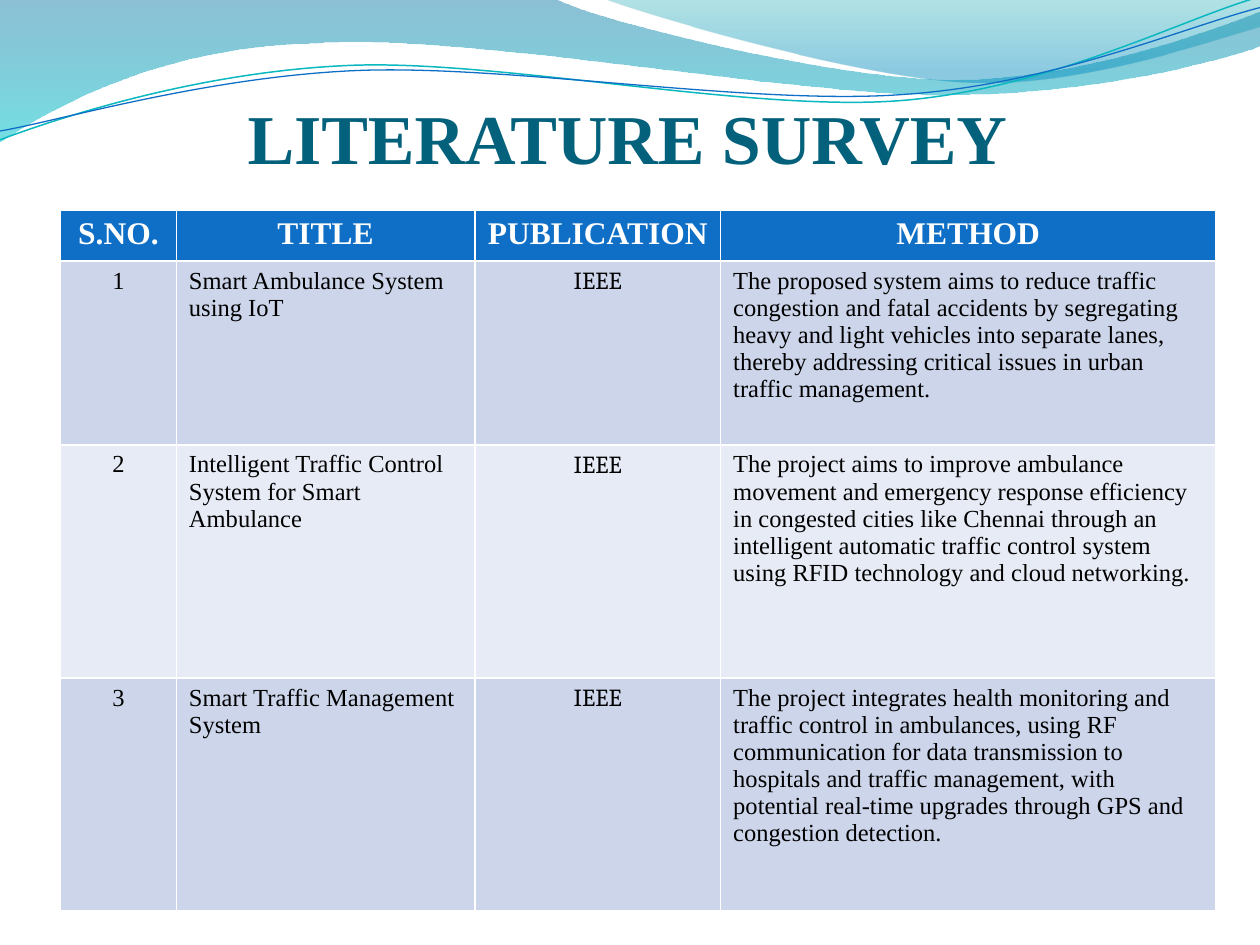
from math import cos, radians, sin
from typing import NamedTuple, Optional

from lxml import etree
from pptx import Presentation
from pptx.dml.color import RGBColor
from pptx.enum.text import MSO_ANCHOR, PP_ALIGN
from pptx.oxml.ns import qn
from pptx.util import Inches, Pt

CENTER, LEFT = PP_ALIGN.CENTER, PP_ALIGN.LEFT
BOTTOM = MSO_ANCHOR.BOTTOM

WHITE = RGBColor(0xFF, 0xFF, 0xFF)
BLACK = RGBColor(0x00, 0x00, 0x00)
TITLE_TEAL = RGBColor(0x04, 0x61, 0x7B)
BLUE = RGBColor(0x0F, 0x6F, 0xC6)
AQUA = RGBColor(0x0A, 0xB8, 0xBF)
BAND_DARK = RGBColor(0xCC, 0xD5, 0xEA)
BAND_LIGHT = RGBColor(0xE7, 0xEB, 0xF5)
SERIF, CAMBRIA = "Times New Roman", "Cambria"
LINE_TILT = -2.7


class Stop(NamedTuple):
    position: float
    color: RGBColor
    opacity: int


class Wave(NamedTuple):
    box: tuple
    start: tuple
    segments: list
    stops: Optional[list] = None
    color: Optional[RGBColor] = None
    width: float = 0
    tilt: float = 0


class Column(NamedTuple):
    heading: str
    width: float
    align: PP_ALIGN
    font: str


WAVES = [
    Wave((-0.01, -0.01, 10.02, 1.14), (0, 0),
         [(4.4, -0.01), (4.76, 0.17, 6.64, 0.63, 7.58, 0.63),
          (8.53, 0.63, 9.58, 0.26, 10, 0.09), (10.01, 0.36),
          (9.83, 0.44, 8.7, 0.76, 7.46, 0.75), (6.22, 0.75, 3.82, 0.28, 2.57, 0.34),
          (1.29, 0.36, 0.46, 0.83, -0.01, 1.13), (0, 0)],
         stops=[Stop(0, RGBColor(0x00, 0x74, 0xA1), 45), Stop(1, RGBColor(0x00, 0xC6, 0xCF), 55)]),
    Wave((4.79, -0.01, 5.21, 0.7), (4.79, -0.01),
         [(5.09, 0.11, 6.82, 0.62, 7.69, 0.65), (8.56, 0.69, 9.61, 0.32, 10, 0.21),
          (10, 0), (4.79, -0.01)],
         stops=[Stop(0, RGBColor(0x00, 0xA1, 0xA9), 30), Stop(0.8, RGBColor(0x00, 0x8B, 0xBF), 45)]),
    Wave((-0.02, 0.22, 10.02, 0.71), (0, 1.11),
         [(0.48, 0.93, 1.58, 0.57, 2.77, 0.52), (3.95, 0.47, 5.93, 0.89, 7.13, 0.8),
          (8.33, 0.71, 9.38, 0.15, 9.98, -0.02)], color=AQUA, width=0.85, tilt=LINE_TILT),
    Wave((-0.02, 0.3, 10.03, 0.58), (0, 1.04),
         [(0.47, 0.96, 1.64, 0.61, 2.83, 0.56), (4.03, 0.51, 5.97, 0.84, 7.17, 0.75),
          (8.36, 0.67, 9.41, 0.21, 10, 0.06)], color=BLUE, width=0.75, tilt=LINE_TILT),
]

COLUMNS = [
    Column("S.NO.", 0.92, CENTER, SERIF),
    Column("TITLE", 2.37, LEFT, SERIF),
    Column("PUBLICATION", 1.95, CENTER, CAMBRIA),
    Column("METHOD", 3.93, LEFT, SERIF),
]
ROW_HEIGHTS = [0.38, 1.46, 1.85, 1.85]
PAPERS = [
    ("1", "Smart Ambulance System using IoT", "IEEE",
     "The proposed system aims to reduce traffic congestion and fatal accidents by segregating "
     "heavy and light vehicles into separate lanes, thereby addressing critical issues in urban "
     "traffic management."),
    ("2", "Intelligent Traffic Control System for Smart Ambulance", "IEEE",
     "The project aims to improve ambulance movement and emergency response efficiency in "
     "congested cities like Chennai through an intelligent automatic traffic control system "
     "using RFID technology and cloud networking."),
    ("3", "Smart Traffic Management System", "IEEE",
     "The project integrates health monitoring and traffic control in ambulances, using RF "
     "communication for data transmission to hospitals and traffic management, with potential "
     "real-time upgrades through GPS and congestion detection."),
]


def to_box(wave: Wave, x: float, y: float) -> dict:
    left, top, width, height = wave.box
    dx, dy = x - left - width / 2, y - top - height / 2
    a = radians(-wave.tilt)
    return {"x": str(Inches(dx * cos(a) - dy * sin(a) + width / 2)),
            "y": str(Inches(dx * sin(a) + dy * cos(a) + height / 2))}


def draw_outline(sp, wave: Wave) -> None:
    outline = next(sp._element.iter(qn("a:path")))
    for child in list(outline):
        outline.remove(child)
    for name, value in zip("wh", wave.box[2:]):
        outline.set(name, str(Inches(value)))
    move = etree.SubElement(outline, qn("a:moveTo"))
    etree.SubElement(move, qn("a:pt"), **to_box(wave, *wave.start))
    for seg in wave.segments:
        tag = "a:cubicBezTo" if len(seg) == 6 else "a:lnTo"
        step = etree.SubElement(outline, qn(tag))
        for x, y in zip(seg[::2], seg[1::2]):
            etree.SubElement(step, qn("a:pt"), **to_box(wave, x, y))
    if wave.stops:
        etree.SubElement(outline, qn("a:close"))


def add_wave(s, wave: Wave) -> None:
    builder = s.shapes.build_freeform(*map(Inches, wave.start))
    builder.add_line_segments([tuple(map(Inches, seg[-2:])) for seg in wave.segments], close=False)
    sp = builder.convert_to_shape()
    for name, value in zip(("left", "top", "width", "height"), wave.box):
        setattr(sp, name, Inches(value))
    sp.rotation = wave.tilt
    sp.shadow.inherit = False
    draw_outline(sp, wave)
    if wave.stops is None:
        sp.fill.background()
        sp.line.color.rgb = wave.color
        sp.line.width = Pt(wave.width)
        return
    sp.line.fill.background()
    sp.fill.gradient()
    sp.fill.gradient_angle = 270
    for gs, stop in zip(sp.fill.gradient_stops, wave.stops):
        gs.position = stop.position
        gs.color.rgb = stop.color
    for clr, stop in zip(sp._element.spPr.iter(qn("a:srgbClr")), wave.stops):
        etree.SubElement(clr, qn("a:alpha"), val=str(stop.opacity * 1000))


def write(tf, text: str, align: PP_ALIGN, color: RGBColor, **font) -> None:
    p = tf.paragraphs[0]
    p.alignment = align
    r = p.add_run()
    r.text = text
    r.font.color.rgb = color
    for name, value in font.items():
        setattr(r.font, name, value)


def add_title(s, text: str) -> None:
    sp = s.shapes.add_textbox(Inches(0.48), Inches(0.59), Inches(9), Inches(0.83))
    tf = sp.text_frame
    layout = {"word_wrap": True, "vertical_anchor": BOTTOM, "margin_left": 0,
              "margin_top": Inches(0.05), "margin_right": 0, "margin_bottom": 0}
    for name, value in layout.items():
        setattr(tf, name, value)
    write(tf, text, CENTER, TITLE_TEAL, size=Pt(40), bold=True, name=SERIF)


def add_survey_table(s) -> None:
    rows = [tuple(c.heading for c in COLUMNS), *PAPERS]
    table = s.shapes.add_table(
        len(rows), len(COLUMNS), Inches(0.48), Inches(1.67),
        Inches(sum(c.width for c in COLUMNS)), Inches(sum(ROW_HEIGHTS))).table
    for col, column in zip(table.columns, COLUMNS):
        col.width = Inches(column.width)
    for i, (texts, height) in enumerate(zip(rows, ROW_HEIGHTS)):
        table.rows[i].height = Inches(height)
        for j, (text, column) in enumerate(zip(texts, COLUMNS)):
            cell = table.cell(i, j)
            cell.fill.solid()
            if i == 0:
                cell.fill.fore_color.rgb = BLUE
                write(cell.text_frame, text, CENTER, WHITE, size=Pt(18), bold=True, name=SERIF)
            else:
                cell.fill.fore_color.rgb = BAND_DARK if i % 2 else BAND_LIGHT
                write(cell.text_frame, text, column.align, BLACK, size=Pt(14), bold=False,
                      name=column.font)


def main() -> None:
    """Build the literature survey slide."""
    prs = Presentation()
    prs.slide_width, prs.slide_height = Inches(10), Inches(7.5)
    s = prs.slides.add_slide(prs.slide_layouts[6])
    for wave in WAVES:
        add_wave(s, wave)
    add_title(s, "LITERATURE SURVEY")
    add_survey_table(s)
    prs.save("out.pptx")


if __name__ == "__main__":
    main()
